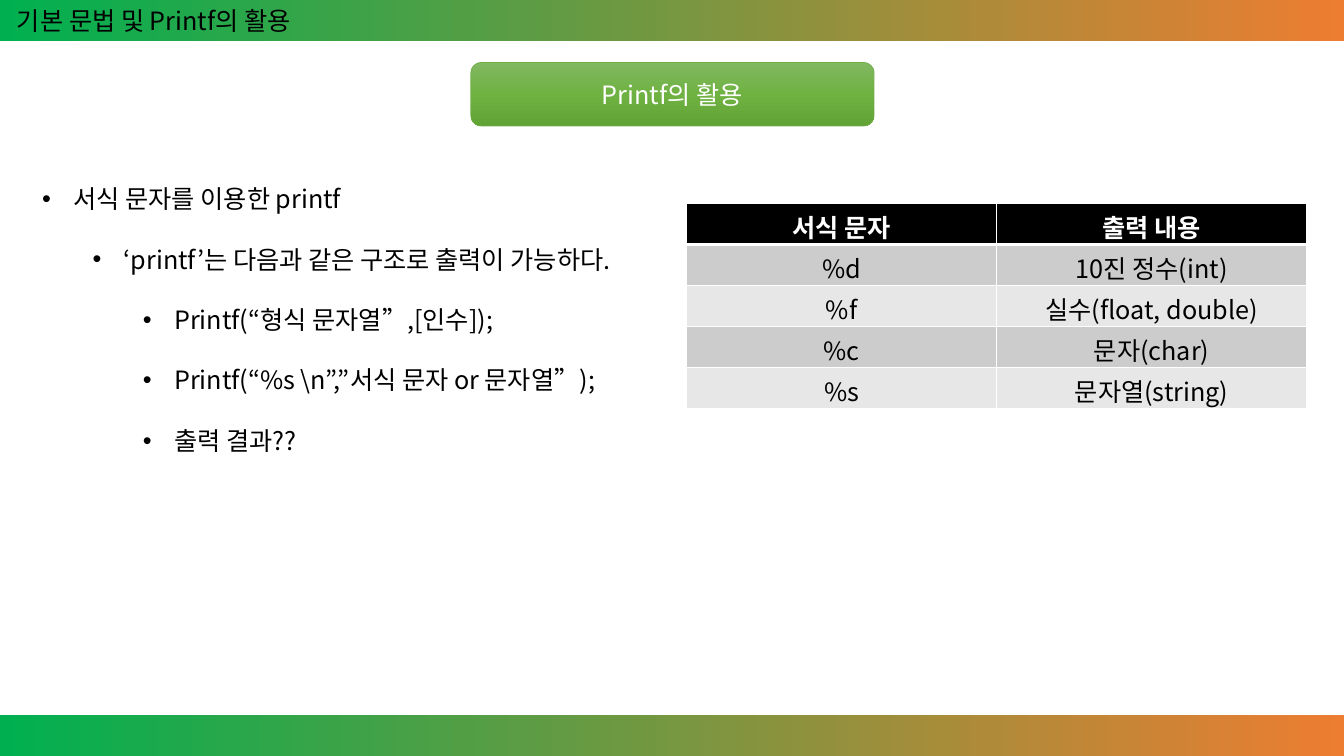
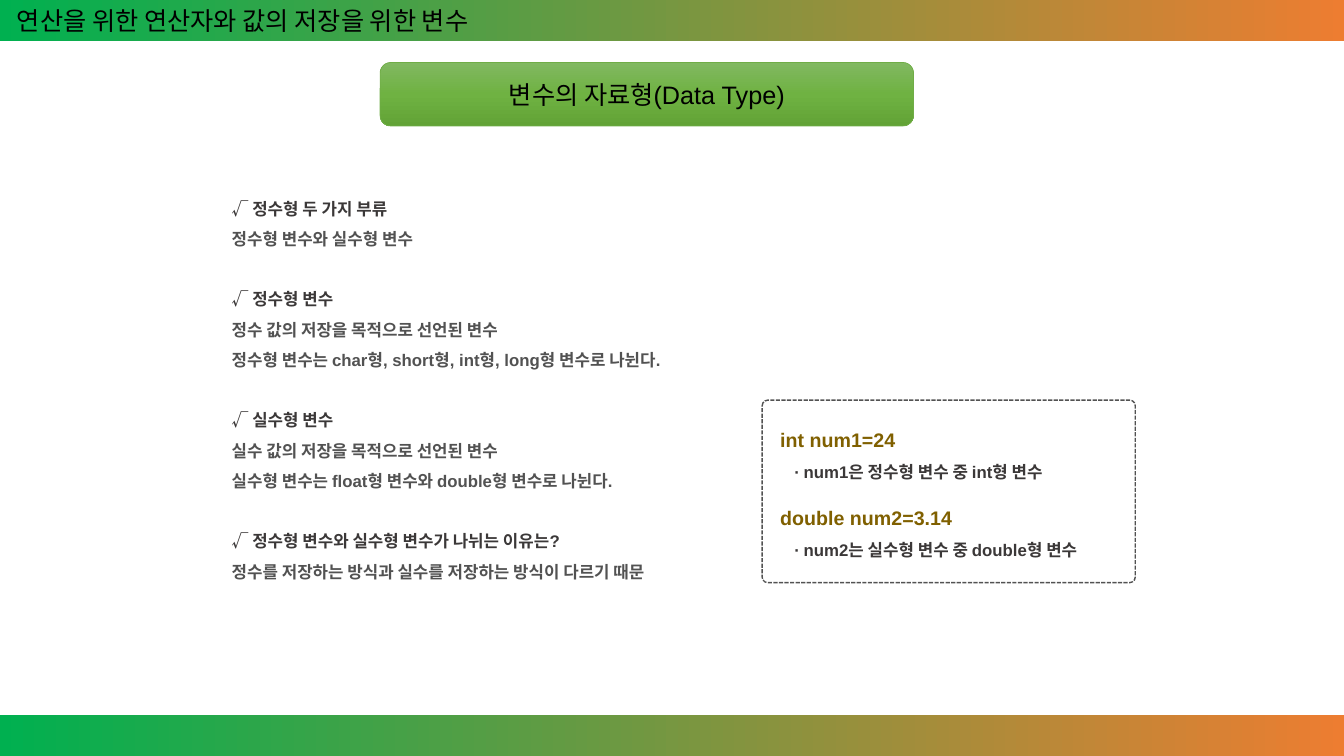
from copy import deepcopy

from pptx import Presentation
from pptx.dml.color import RGBColor as RGB
from pptx.enum.dml import MSO_LINE as DASH
from pptx.enum.shapes import MSO_SHAPE as SHAPE
from pptx.enum.text import MSO_ANCHOR as ANCHOR, PP_ALIGN as ALIGN
from pptx.oxml.ns import qn
from pptx.oxml.xmlchemy import OxmlElement as node
from pptx.util import Inches, Pt

WIDE, HIGH, BAND = 13.33, 7.5, 0.41
NOTO, ARIAL = "Noto Sans CJK KR", "Arial"
BLACK, WHITE = "000000", "FFFFFF"
DARK, GRAY, GOLD = "3B3838", "525252", "806000"
SWEEP = ["00B050", "ED7D31"]
GREEN = ["81B861", "6FB242", "62A336"]


def tint(code):
    """Turn a hex string into a colour."""
    return RGB.from_string(code)


def style(para, size, font, color, bold=False):
    """Format every run of a paragraph."""
    for run in para.runs:
        run.font.size, run.font.name, run.font.bold = Pt(size), font, bold
        run.font.color.rgb = tint(color)
        east = node("a:ea")
        east.set("typeface", NOTO)
        run.font._element.find(qn("a:latin")).addnext(east)


def indent(para, left, hang=0, mark=None):
    """Set the left indent of a paragraph and its bullet, if any."""
    props = para._p.get_or_add_pPr()
    props.set("marL", str(Inches(left)))
    props.set("indent", str(Inches(hang)))
    if mark:
        face = node("a:buFont")
        face.set("typeface", ARIAL)
        dot = node("a:buChar")
        dot.set("char", mark)
        props.extend([face, dot])


def blend(shape, codes, angle):
    """Fill a shape with evenly spaced gradient stops."""
    fill = shape.fill
    fill.gradient()
    fill.gradient_angle = angle
    stops = shape._element.spPr.find(qn("a:gradFill")).find(qn("a:gsLst"))
    for _ in codes[2:]:
        stops.append(deepcopy(stops[0]))
    for num, (stop, code) in enumerate(zip(fill.gradient_stops, codes)):
        stop.position = num / (len(codes) - 1)
        stop.color.rgb = tint(code)


def block(slide, kind, box):
    """Add a preset shape without shadow."""
    shape = slide.shapes.add_shape(kind, *map(Inches, box))
    shape.shadow.inherit = False
    return shape


def write(slide, box, lines, wrap=True):
    """Add a text box and return its paragraphs, one for each line."""
    frame = slide.shapes.add_textbox(*map(Inches, box)).text_frame
    frame.word_wrap = wrap
    frame.text = "\n".join(lines)
    return frame.paragraphs


def page(deck, title):
    """Add a slide with both bands and the title."""
    slide = deck.slides.add_slide(deck.slide_layouts[6])
    for top in (0, HIGH - BAND):
        band = block(slide, SHAPE.RECTANGLE, (0, top, WIDE, BAND))
        blend(band, SWEEP, 0)
        band.line.fill.background()
    head = write(slide, (0.07, 0, 5.28, 0.4), [title], wrap=False)
    style(head[0], 18, NOTO, BLACK)
    return slide


def badge(slide, box, text, font, color):
    """Add the green topic button."""
    shape = block(slide, SHAPE.ROUNDED_RECTANGLE, box)
    blend(shape, GREEN, 270)
    shape.line.color.rgb = tint("70AD47")
    shape.line.width = Pt(0.5)
    frame = shape.text_frame
    frame.vertical_anchor = ANCHOR.MIDDLE
    frame.text = text
    frame.paragraphs[0].alignment = ALIGN.CENTER
    style(frame.paragraphs[0], 18, font, color)


def outline(slide, box, items):
    """Add a bulleted list of (level, text) items."""
    paras = write(slide, box, [text for _, text in items])
    for para, (level, _) in zip(paras, items):
        para.level = level
        para.line_spacing = 2.0
        indent(para, 0.31 + level / 2, -0.31, "•")
        style(para, 18, NOTO, BLACK)


def border(cell, widths):
    """Draw white cell borders, given widths by side."""
    props = cell._tc.get_or_add_tcPr()
    for num, (side, width) in enumerate(widths.items()):
        line = node(f"a:ln{side}")
        line.set("w", str(Pt(width)))
        solid, color = node("a:solidFill"), node("a:srgbClr")
        color.set("val", WHITE)
        solid.append(color)
        line.append(solid)
        props.insert(num, line)


def grid(slide, box, rows):
    """Add a table with a black header and banded rows."""
    table = slide.shapes.add_table(len(rows), len(rows[0]),
                                   *map(Inches, box)).table
    for row, texts in enumerate(rows):
        head = row == 0
        fill = BLACK if head else ("E7E7E7", "CCCCCC")[row % 2]
        for col, text in enumerate(texts):
            cell = table.cell(row, col)
            cell.text = text
            cell.fill.solid()
            cell.fill.fore_color.rgb = tint(fill)
            border(cell, {"L": 1, "R": 1, "T": 3 if row == 1 else 1,
                          "B": 3 if head else 1})
            para = cell.text_frame.paragraphs[0]
            para.alignment = ALIGN.CENTER
            style(para, 18, NOTO, WHITE if head else BLACK, head)


def notes(slide, box, groups, head, body, gap, inset=0):
    """Add groups of a heading and body lines, parted by a gap."""
    paras = iter(write(slide, box, sum(groups, [])))
    for num, group in enumerate(groups):
        for row in range(len(group)):
            para = next(paras)
            para.line_spacing = 1.5
            style(para, *(body if row else head), bold=True)
            if row:
                indent(para, inset)
            elif num:
                para.space_before = Pt(gap)


def sample(slide, box, groups):
    """Add the dashed frame with its code notes."""
    left, top, wide, high = box
    notes(slide, (left + 0.08, top + 0.11, wide - 0.16, high - 0.27), groups,
          (14, ARIAL, GOLD), (12, ARIAL, DARK), 9, 0.14)
    frame = block(slide, SHAPE.ROUNDED_RECTANGLE, box)
    frame.adjustments[0] = 0.03
    frame.fill.background()
    frame.line.color.rgb = tint(GRAY)
    frame.line.width = Pt(1)
    frame.line.dash_style = DASH.SQUARE_DOT


def usage(deck):
    """Build the slide on printf."""
    slide = page(deck, "기본 문법 및 Printf의 활용")
    badge(slide, (4.67, 0.62, 4, 0.63), "Printf의 활용", NOTO, WHITE)
    outline(slide, (0.32, 1.47, 12.76, 3.13), [
        (0, "서식 문자를 이용한 printf"),
        (1, "‘printf’는 다음과 같은 구조로 출력이 가능하다."),
        (2, "Printf(“형식 문자열”,[인수]);"),
        (2, "Printf(“%s \\n”,”서식 문자 or 문자열”);"),
        (2, "출력 결과??"),
    ])
    grid(slide, (6.81, 2.02, 6.15, 2.03), [
        ("서식 문자", "출력 내용"),
        ("%d", "10진 정수(int)"),
        ("%f", "실수(float, double)"),
        ("%c", "문자(char)"),
        ("%s", "문자열(string)"),
    ])


def types(deck):
    """Build the slide on data types."""
    slide = page(deck, "연산을 위한 연산자와 값의 저장을 위한 변수")
    badge(slide, (3.77, 0.62, 5.29, 0.63), "변수의 자료형(Data Type)",
          ARIAL, BLACK)
    notes(slide, (2.2, 1.82, 7.87, 4.04), [
        ["√ 정수형 두 가지 부류",
         "정수형 변수와 실수형 변수"],
        ["√ 정수형 변수",
         "정수 값의 저장을 목적으로 선언된 변수",
         "정수형 변수는 char형, short형, int형, long형 변수로 나뉜다."],
        ["√ 실수형 변수",
         "실수 값의 저장을 목적으로 선언된 변수",
         "실수형 변수는 float형 변수와 double형 변수로 나뉜다."],
        ["√ 정수형 변수와 실수형 변수가 나뉘는 이유는?",
         "정수를 저장하는 방식과 실수를 저장하는 방식이 다르기 때문"],
    ], (12, ARIAL, DARK), (12, ARIAL, GRAY), 21.6)
    sample(slide, (7.56, 3.97, 3.7, 1.81), [
        ["int num1=24", "∙ num1은 정수형 변수 중 int형 변수"],
        ["double num2=3.14", "∙ num2는 실수형 변수 중 double형 변수"],
    ])


deck = Presentation()
deck.slide_width, deck.slide_height = Inches(WIDE), Inches(HIGH)
usage(deck)
types(deck)
deck.save("out.pptx")
